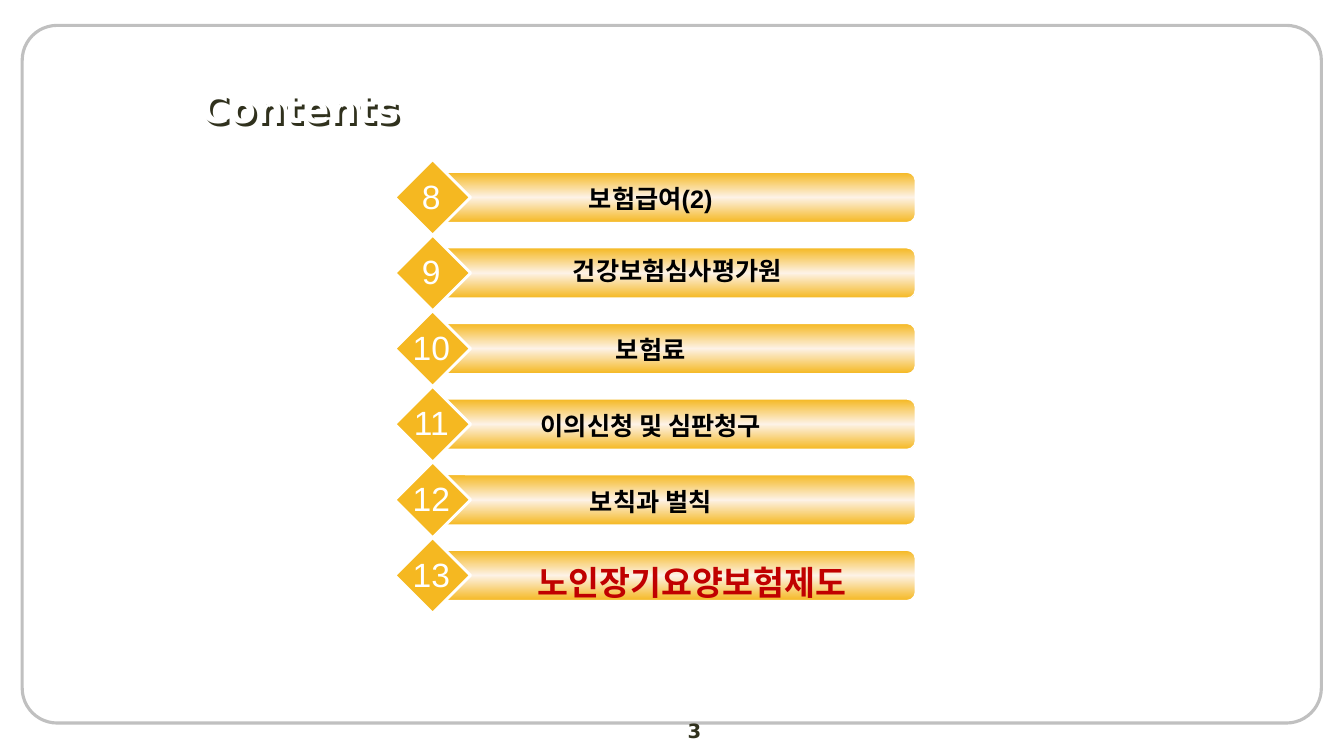
"""Build the contents slide listing chapters 8 to 13."""
import copy

import pptx
import pptx.dml.color
import pptx.enum.shapes
import pptx.enum.text
import pptx.oxml
import pptx.oxml.ns
import pptx.util
from pptx.util import Cm

SHAPE = pptx.enum.shapes.MSO_SHAPE
ALIGN = pptx.enum.text.PP_ALIGN
ANCHOR = pptx.enum.text.MSO_ANCHOR
GOLD, CREAM, WHITE, BLACK, RED = "F5B821", "FDF2E6", "FFFFFF", "000000", "C00000"
GREY, OLIVE = "C0C0C0", "30311D"
KOREAN = "Noto Sans CJK KR"
FIRST_NUMBER, FIRST_TOP, PITCH = 8, 4.02, 1.905
CHAPTERS = [
    ("보험급여(2)", 16.4, 0.48, 18, "Arial", BLACK),
    ("건강보험심사평가원", 17.07, 0.38, 18, "Arial", BLACK),
    ("보험료", 16.4, 0.48, 18, "Arial", BLACK),
    ("이의신청 및 심판청구", 16.4, 0.48, 18, "Arial", BLACK),
    ("보칙과 벌칙", 16.4, 0.48, 18, "Arial", BLACK),
    ("노인장기요양보험제도", 17.44, 0.48, 24, KOREAN, RED),
]


def rgb(color):
    """Turn a hex string into a colour."""
    return pptx.dml.color.RGBColor.from_string(color)


def format_text(paragraph, size, font_name, color, bold=False, align=ALIGN.CENTER):
    """Set the alignment and font of a paragraph."""
    paragraph.alignment = align
    font = paragraph.font
    font.size, font.name, font.bold = pptx.util.Pt(size), font_name, bold
    font.color.rgb = rgb(color)


def add_label(slide, text, center, top, width, height, size, font_name, color, bold=False):
    """Add a line of text centred on a horizontal position."""
    label = slide.shapes.add_textbox(Cm(center - width / 2), Cm(top), Cm(width), Cm(height))
    label.text_frame.word_wrap = True
    paragraph = label.text_frame.paragraphs[0]
    paragraph.text = text
    format_text(paragraph, size, font_name, color, bold)


def add_outlined(slide, preset, left, top, width, height, line_color, line_width):
    """Add a preset shape with an outline and no shadow."""
    shape = slide.shapes.add_shape(preset, Cm(left), Cm(top), Cm(width), Cm(height))
    shape.shadow.inherit = False
    shape.line.color.rgb = rgb(line_color)
    shape.line.width = pptx.util.Pt(line_width)
    return shape


def fill_gradient(shape, colors):
    """Fill a shape with a vertical gradient of three even stops."""
    shape.fill.gradient()
    shape.fill.gradient_angle = 90
    stop_list = shape._element.spPr.find(".//" + pptx.oxml.ns.qn("a:gsLst"))
    stop_list.insert(1, copy.deepcopy(stop_list[0]))
    for index, (stop, color) in enumerate(zip(shape.fill.gradient_stops, colors)):
        stop.position = index / 2
        stop.color.rgb = rgb(color)


def add_frame(slide):
    """Add the rounded border around the slide."""
    frame = add_outlined(slide, SHAPE.ROUNDED_RECTANGLE, 0.56, 0.64, 32.74, 17.58, GREY, 2.25)
    frame.adjustments[0] = 0.05
    frame.fill.background()


def add_heading(slide, text):
    """Place the title and give its letters a shadow."""
    heading = slide.shapes.title
    heading.left, heading.top, heading.width, heading.height = Cm(4.8), Cm(1.98), Cm(27.1), Cm(1.47)
    heading.fill.background()
    heading.line.fill.background()
    heading.text_frame.vertical_anchor = ANCHOR.MIDDLE
    paragraph = heading.text_frame.paragraphs[0]
    paragraph.text = text
    format_text(paragraph, 28, "DejaVu Sans", WHITE, True, ALIGN.LEFT)
    shadow = pptx.oxml.parse_xml(
        f'<a:effectLst {pptx.oxml.ns.nsdecls("a")}>'
        '<a:outerShdw dist="38100" dir="2700000" algn="ctr" rotWithShape="0">'
        f'<a:srgbClr val="{OLIVE}"/></a:outerShdw></a:effectLst>')
    heading._element.spPr.append(shadow)


def add_chapter(slide, number, top, text, center, text_offset, size, font_name, color):
    """Add one chapter: bar, numbered diamond and name."""
    bar = add_outlined(slide, SHAPE.ROUNDED_RECTANGLE, 11, top + 0.32, 12.07, 1.27, WHITE, 1)
    fill_gradient(bar, [GOLD, CREAM, GOLD])
    diamond = add_outlined(slide, SHAPE.DIAMOND, 9.95, top, 1.91, 1.91, WHITE, 2)
    diamond.fill.solid()
    diamond.fill.fore_color.rgb = rgb(GOLD)
    add_label(slide, text, center, top + text_offset, 9.53, 1.02, size, font_name, color, True)
    add_label(slide, str(number), 10.87, top + 0.28, 1.45, 1.27, 24, "Arial", WHITE)


def main():
    """Build and save the slide."""
    deck = pptx.Presentation()
    deck.slide_width, deck.slide_height = Cm(33.87), Cm(19.05)
    slide = deck.slides.add_slide(deck.slide_layouts[5])
    add_frame(slide)
    add_label(slide, "3", 17.5, 17.98, 7.9, 0.69, 14, "DejaVu Sans", OLIVE, True)
    add_heading(slide, "Contents")
    for index, chapter in enumerate(CHAPTERS):
        add_chapter(slide, FIRST_NUMBER + index, FIRST_TOP + index * PITCH, *chapter)
    deck.save("out.pptx")


if __name__ == "__main__":
    main()
